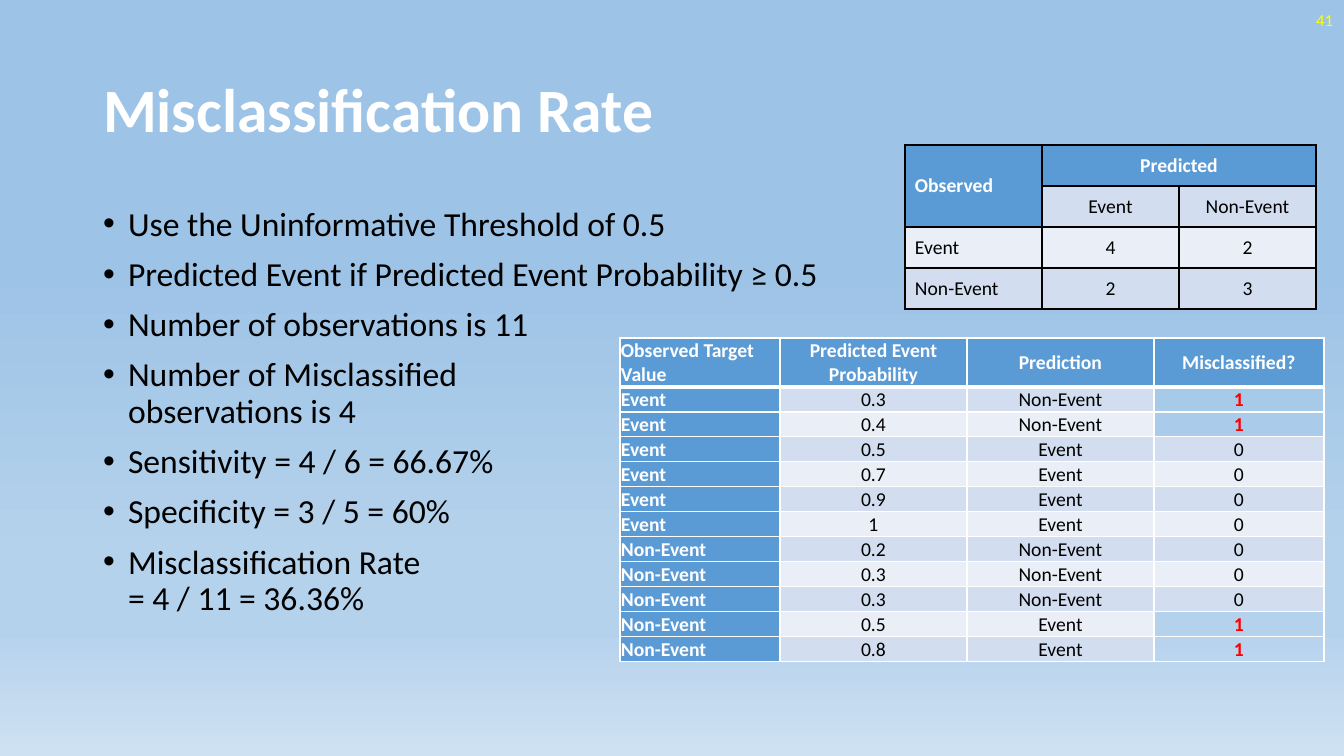
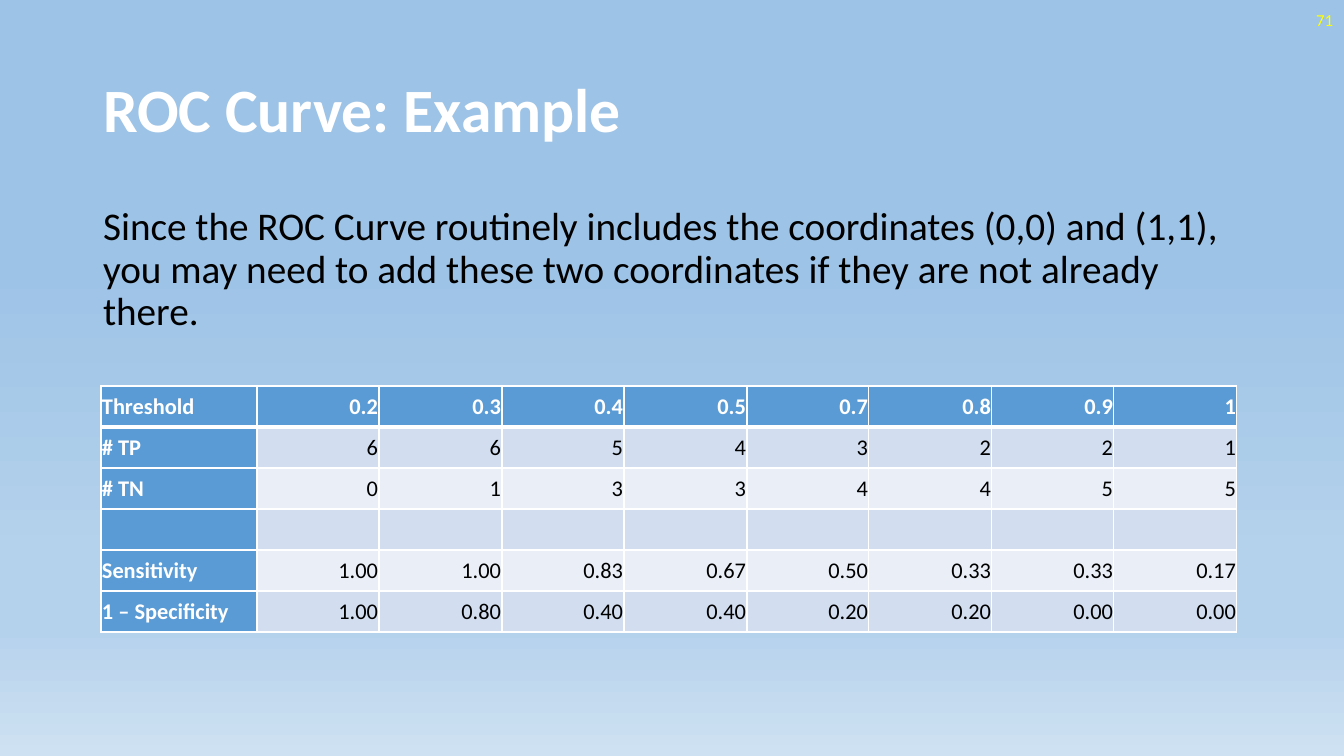
import lxml.etree
import pptx
import pptx.dml.color
import pptx.enum.text
import pptx.oxml.ns
import pptx.util

RGBColor = pptx.dml.color.RGBColor
ALIGN = pptx.enum.text.PP_ALIGN
ANCHOR = pptx.enum.text.MSO_ANCHOR
qn = pptx.oxml.ns.qn

WHITE = RGBColor(0xFF, 0xFF, 0xFF)
BLACK = RGBColor(0x00, 0x00, 0x00)
YELLOW = RGBColor(0xFF, 0xFF, 0x00)
RED = RGBColor(0xFF, 0x00, 0x00)
HEADER_BLUE = RGBColor(0x5B, 0x9B, 0xD5)
BAND_DARK = RGBColor(0xD2, 0xDE, 0xEF)
BAND_LIGHT = RGBColor(0xEA, 0xEF, 0xF7)
SKY = RGBColor(0x9D, 0xC3, 0xE6)
HAZE = RGBColor(0xB5, 0xD2, 0xEC)
MIST = RGBColor(0xCE, 0xE1, 0xF2)
BACKGROUND_STOPS = [(35, SKY), (74, HAZE), (83, HAZE), (100, MIST)]

FONT = "Calibri"
SLIDE_SIZE = (1344, 756)
TITLE_BOX = (93, 40, 1159, 146)
BODY_BOX = (93, 202, 1159, 480)
NUMBER_BOX = (1041, 0, 302, 40)
TIGHT_MARGINS = (1, 1, 1, 0)
NORMAL_MARGINS = (10, 5, 10, 5)
BULLET_INDENT = 25

EVENT, NON_EVENT = "Event", "Non-Event"
THRESHOLD = 0.5
EVENT_PROBABILITIES = [0.3, 0.4, 0.5, 0.7, 0.9, 1]
NON_EVENT_PROBABILITIES = [0.2, 0.3, 0.3, 0.5, 0.8]


def px(length):
    return pptx.util.Emu(round(length * 914400 / 100.8))


def place(shape, box):
    shape.left, shape.top, shape.width, shape.height = map(px, box)


def format_paragraph(paragraph, size, color, bold=False, align=ALIGN.LEFT):
    paragraph.alignment = align
    for run in paragraph.runs:
        run.font.name = FONT
        run.font.size = pptx.util.Pt(size)
        run.font.bold = bold
        run.font.color.rgb = color


def style_master(presentation):
    master = presentation.slide_master
    fill = master.background.fill
    fill.gradient()
    fill.gradient_angle = 270
    stops = master.element.find(".//" + qn("a:gsLst"))
    for stop in list(stops):
        stops.remove(stop)
    for position, color in BACKGROUND_STOPS:
        stop = lxml.etree.SubElement(stops, qn("a:gs"), pos=str(position * 1000))
        lxml.etree.SubElement(stop, qn("a:srgbClr"), val=str(color))
    body_level = master.element.find(f".//{qn('p:bodyStyle')}/{qn('a:lvl1pPr')}")
    body_level.find(qn("a:defRPr")).set("sz", "2400")


def set_bullet(paragraph, bulleted):
    properties = paragraph._p.get_or_add_pPr()
    indent = px(BULLET_INDENT) if bulleted else 0
    properties.set("marL", str(indent))
    properties.set("indent", str(-indent))
    if bulleted:
        lxml.etree.SubElement(properties, qn("a:buChar"), char="•")
    else:
        lxml.etree.SubElement(properties, qn("a:buNone"))


def add_title(slide, title):
    shape = slide.shapes.title
    place(shape, TITLE_BOX)
    frame = shape.text_frame
    frame.text = title
    frame.auto_size = pptx.enum.text.MSO_AUTO_SIZE.NONE
    frame.vertical_anchor = ANCHOR.MIDDLE
    frame.paragraphs[0].line_spacing = 0.9
    format_paragraph(frame.paragraphs[0], 44, WHITE, bold=True)


def add_body(slide, texts, size, bulleted):
    shape = slide.placeholders[1]
    place(shape, BODY_BOX)
    frame = shape.text_frame
    frame.auto_size = pptx.enum.text.MSO_AUTO_SIZE.NONE
    for index, text in enumerate(texts):
        paragraph = frame.add_paragraph() if index else frame.paragraphs[0]
        paragraph.text = text
        set_bullet(paragraph, bulleted)
        paragraph.line_spacing = 0.9
        paragraph.space_before = pptx.util.Pt(10 if index else 0)
        format_paragraph(paragraph, size, BLACK)


def add_slide_number(slide, number):
    shape = slide.shapes.add_textbox(*map(px, NUMBER_BOX))
    frame = shape.text_frame
    frame.word_wrap = True
    frame.vertical_anchor = ANCHOR.MIDDLE
    frame.text = str(number)
    format_paragraph(frame.paragraphs[0], 12, YELLOW, align=ALIGN.RIGHT)


def add_content_slide(presentation, number, title, texts, size, bulleted):
    slide = presentation.slides.add_slide(presentation.slide_layouts[1])
    add_title(slide, title)
    add_body(slide, texts, size, bulleted)
    add_slide_number(slide, number)
    return slide


def set_borders(cell, color, top, bottom):
    properties = cell._tc.get_or_add_tcPr()
    for side, width in (("L", 1), ("R", 1), ("T", top), ("B", bottom)):
        line = lxml.etree.SubElement(
            properties, qn("a:ln" + side), w=str(pptx.util.Pt(width))
        )
        fill = lxml.etree.SubElement(line, qn("a:solidFill"))
        lxml.etree.SubElement(fill, qn("a:srgbClr"), val=str(color))


def add_grid(slide, origin, widths, heights, rows, size, align,
             margins=TIGHT_MARGINS, border=WHITE, header_rule=3, header_column=True):
    box = (*origin, sum(widths), sum(heights))
    table = slide.shapes.add_table(len(rows), len(widths), *map(px, box)).table
    for column, width in zip(table.columns, widths):
        column.width = px(width)
    for row, height in zip(table.rows, heights):
        row.height = px(height)
    for row_index, texts in enumerate(rows):
        band = BAND_DARK if row_index % 2 else BAND_LIGHT
        for column_index, text in enumerate(texts):
            cell = table.cell(row_index, column_index)
            header = row_index == 0 or (header_column and column_index == 0)
            set_borders(cell, border,
                        top=header_rule if row_index == 1 else 1,
                        bottom=header_rule if row_index == 0 else 1)
            cell.fill.solid()
            cell.fill.fore_color.rgb = HEADER_BLUE if header else band
            cell.vertical_anchor = ANCHOR.MIDDLE
            (cell.margin_left, cell.margin_top,
             cell.margin_right, cell.margin_bottom) = map(px, margins)
            cell.text_frame.text = text
            format_paragraph(cell.text_frame.paragraphs[0], size,
                             WHITE if header else BLACK, bold=header,
                             align=align if column_index else ALIGN.LEFT)
    return table


def add_prediction_table(slide, origin):
    rows = [["Observed Target Value", "Predicted Event Probability",
             "Prediction", "Misclassified?"]]
    observations = [(EVENT, value) for value in EVENT_PROBABILITIES]
    observations += [(NON_EVENT, value) for value in NON_EVENT_PROBABILITIES]
    for observed, probability in observations:
        prediction = EVENT if probability >= THRESHOLD else NON_EVENT
        missed = int(prediction != observed)
        rows.append([observed, f"{probability:g}", prediction, str(missed)])
    heights = [49] + [25] * len(observations)
    table = add_grid(slide, origin, [160, 187, 187, 170], heights, rows, 14, ALIGN.CENTER)
    for row_index, texts in enumerate(rows):
        if texts[-1] == "1":
            cell = table.cell(row_index, 3)
            cell.fill.background()
            format_paragraph(cell.text_frame.paragraphs[0], 14, RED,
                             bold=True, align=ALIGN.CENTER)


def add_confusion_table(slide, origin):
    rows = [
        ["Observed", "Predicted", ""],
        ["", EVENT, NON_EVENT],
        [EVENT, "4", "2"],
        [NON_EVENT, "2", "3"],
    ]
    table = add_grid(slide, origin, [137] * 3, [41] * 4, rows, 14, ALIGN.CENTER,
                     margins=NORMAL_MARGINS, border=BLACK, header_rule=1,
                     header_column=False)
    table.cell(0, 0).merge(table.cell(1, 0))
    table.cell(0, 1).merge(table.cell(0, 2))


def add_threshold_table(slide, origin):
    true_positives = [6, 6, 5, 4, 3, 2, 2, 1]
    true_negatives = [0, 1, 3, 3, 4, 4, 5, 5]
    events, non_events = len(EVENT_PROBABILITIES), len(NON_EVENT_PROBABILITIES)
    rows = [
        ["Threshold", "0.2", "0.3", "0.4", "0.5", "0.7", "0.8", "0.9", "1"],
        ["# TP", *map(str, true_positives)],
        ["# TN", *map(str, true_negatives)],
        [""] * 9,
        ["Sensitivity", *(f"{count / events:.2f}" for count in true_positives)],
        ["1 – Specificity", *(f"{1 - count / non_events:.2f}" for count in true_negatives)],
    ]
    add_grid(slide, origin, [156] + [122, 123] * 4, [41] * 6, rows, 16, ALIGN.RIGHT)


def build_misclassification_slide(presentation):
    texts = [
        "Use the Uninformative Threshold of 0.5",
        "Predicted Event if Predicted Event Probability ≥ 0.5",
        "Number of observations is 11",
        "Number of Misclassified\vobservations is 4",
        "Sensitivity = 4 / 6 = 66.67%",
        "Specificity = 3 / 5 = 60%",
        "Misclassification Rate\v= 4 / 11 = 36.36%",
    ]
    slide = add_content_slide(presentation, 41, "Misclassification Rate", texts, 24, True)
    add_prediction_table(slide, (620, 338))
    add_confusion_table(slide, (905, 145))


def build_roc_slide(presentation):
    texts = ["Since the ROC Curve routinely includes the coordinates (0,0) and (1,1), "
             "you may need to add these two coordinates if they are not already there."]
    slide = add_content_slide(presentation, 71, "ROC Curve: Example", texts, 28, False)
    add_threshold_table(slide, (101, 386))


def main():
    presentation = pptx.Presentation()
    presentation.slide_width, presentation.slide_height = map(px, SLIDE_SIZE)
    style_master(presentation)
    build_misclassification_slide(presentation)
    build_roc_slide(presentation)
    presentation.save("out.pptx")


if __name__ == "__main__":
    main()
